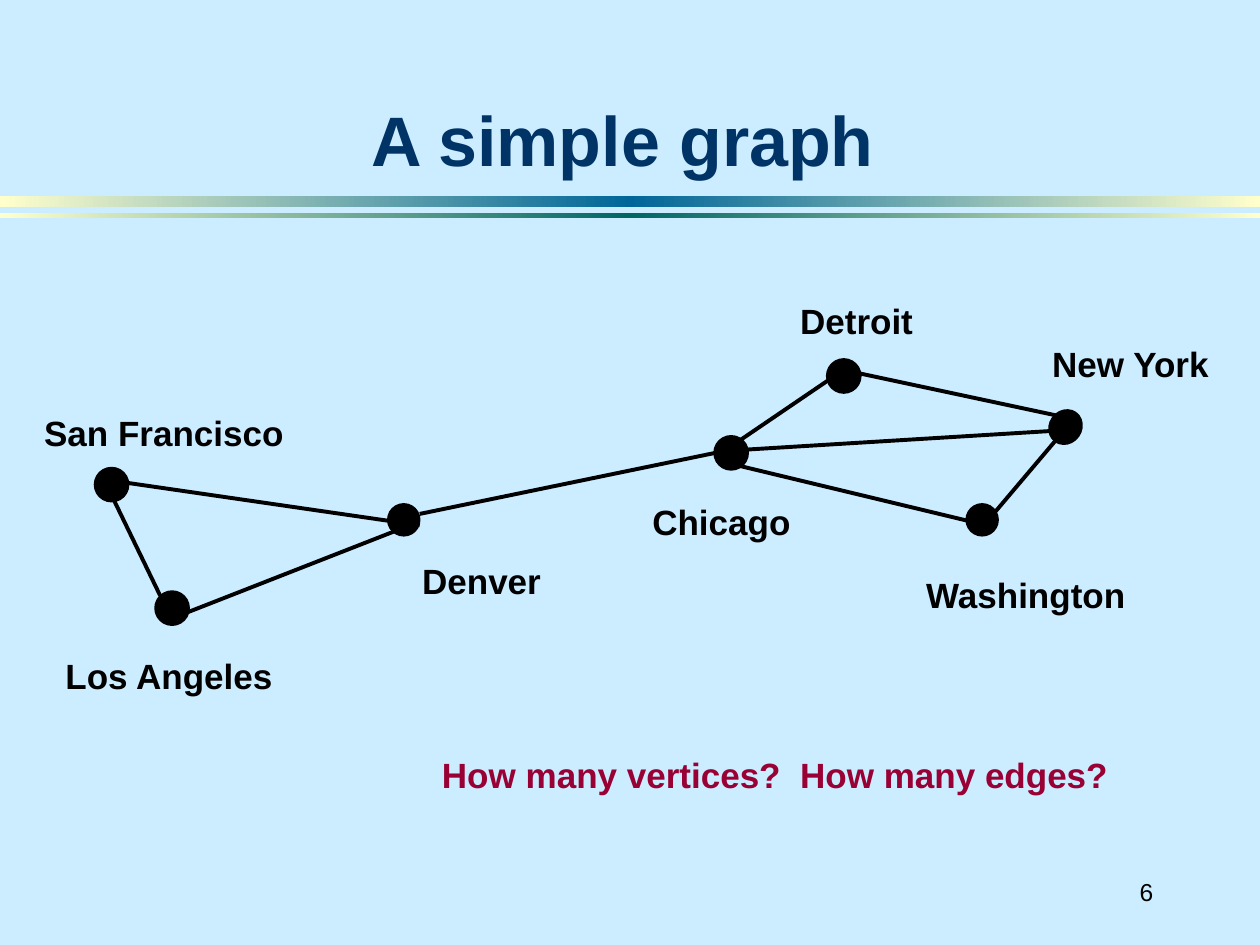
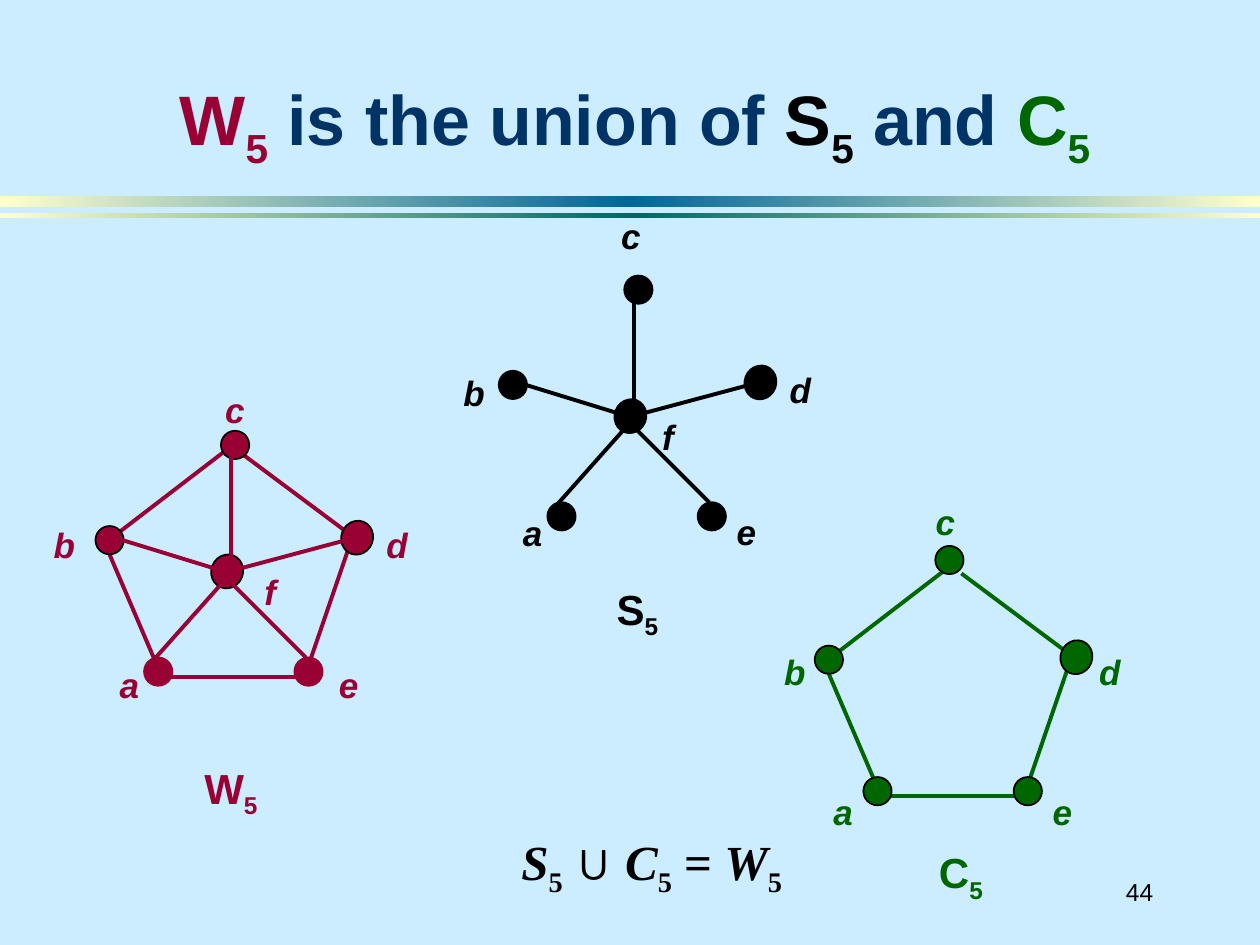
from copy import deepcopy
from dataclasses import dataclass

from lxml import etree
from pptx import Presentation
from pptx.dml.color import RGBColor
from pptx.enum.shapes import MSO_CONNECTOR, MSO_SHAPE
from pptx.enum.text import MSO_ANCHOR, MSO_AUTO_SIZE, PP_ALIGN
from pptx.oxml.ns import qn
from pptx.util import Cm, Pt

ELLIPSE = MSO_SHAPE.OVAL
RECTANGLE = MSO_SHAPE.RECTANGLE
STRAIGHT = MSO_CONNECTOR.STRAIGHT
LEFT, CENTER, RIGHT = PP_ALIGN.LEFT, PP_ALIGN.CENTER, PP_ALIGN.RIGHT
TOP, MIDDLE, BOTTOM = MSO_ANCHOR.TOP, MSO_ANCHOR.MIDDLE, MSO_ANCHOR.BOTTOM
NO_FIT, GROW = MSO_AUTO_SIZE.NONE, MSO_AUTO_SIZE.SHAPE_TO_FIT_TEXT


@dataclass(frozen=True)
class Theme:
    """Colours, fonts, type sizes and line widths of the deck."""
    background: str = "CCECFF"
    title: str = "003366"
    black: str = "000000"
    crimson: str = "990033"
    green: str = "006600"
    band_end: str = "FFFFCC"
    band_blue: str = "006699"
    band_teal: str = "006666"
    sans: str = "Arial"
    serif: str = "Times New Roman"
    title_size: int = 40
    formula_size: int = 28
    name_size: int = 24
    label_size: int = 20
    number_size: int = 14
    edge_width: float = 2.25
    outline_width: float = 1


THEME = Theme()
SUBSCRIPT = {"subscript": True}

CITY_MAP = (0.6, 5.9)
HEAVY_CITIES = ("San Francisco", "Los Angeles", "Detroit", "Chicago")
CITIES = {
    "San Francisco": ((1.65, 3.87), (0.04, 2.28, 5.4)),
    "Los Angeles": ((2.87, 6.36), (0.47, 7.16, 4.7)),
    "Denver": ((7.54, 4.58), (7.66, 5.25, 2.9)),
    "Chicago": ((14.14, 3.23), (12.3, 4.06, 3.3)),
    "Detroit": ((16.41, 1.68), (15.28, 0.02, 2.85)),
    "New York": ((20.88, 2.71), (20.36, 0.88, 3.73)),
    "Washington": ((19.2, 4.58), (17.82, 5.53, 4.55)),
}
ROUTES = (
    ((1.71, 4.21), (2.63, 6.11)),
    ((16.09, 1.77), (14.34, 2.96)),
    ((1.94, 3.83), (7.86, 4.69)),
    ((7.66, 4.69), (2.78, 6.6)),
    ((16.32, 1.54), (20.86, 2.51)),
    ((14.01, 3.19), (20.56, 2.79)),
    ((14.01, 3.42), (19.29, 4.69)),
    ((14.01, 3.19), (7.86, 4.46)),
    ((20.84, 2.79), (19.19, 4.74)),
)

VERTICES = {
    "a": (1.26, 4.85), "b": (0.28, 2.2), "c": (2.81, 0.28),
    "d": (5.27, 2.15), "e": (4.29, 4.85), "f": (2.65, 2.83),
}
RIM = (
    ((0.28, 2.49), (1.17, 4.57)),
    ((4.19, 4.95), (1.52, 4.95)),
    ((4.29, 4.72), (5.16, 2.18)),
    ((2.95, 0.46), (5.16, 2.11)),
    ((0.38, 2.11), (2.87, 0.2)),
)
SPOKES = (
    ((0.25, 2.11), (2.72, 2.87)),
    ((2.54, 2.87), (4.24, 4.57)),
    ((1.02, 4.78), (2.72, 2.87)),
    ((2.72, 0.41), (2.72, 2.87)),
    ((2.54, 2.87), (5.38, 2.11)),
)


def rgb(color):
    """Turn a hex string into a colour."""
    return RGBColor.from_string(color)


def add_text(slide, box, runs, size=THEME.label_size, color=THEME.black,
             font=THEME.sans, bold=True, italic=False, align=LEFT,
             anchor=TOP, wrap=False, fit=GROW, indent=0.25):
    """Add a text box; each run is a string or a (string, overrides) pair."""
    shape = slide.shapes.add_textbox(*(Cm(length) for length in box))
    frame = shape.text_frame
    frame.word_wrap = wrap
    frame.auto_size = fit
    frame.vertical_anchor = anchor
    frame.margin_left = Cm(indent)
    frame.margin_right = Cm(0.25 if wrap else 0)
    paragraph = frame.paragraphs[0]
    paragraph.alignment = align
    for item in [runs] if isinstance(runs, str) else runs:
        text, changes = (item, {}) if isinstance(item, str) else item
        run = paragraph.add_run()
        run.text = text
        run.font.size = Pt(size)
        run.font.name = changes.get("font", font)
        run.font.bold = bold
        run.font.italic = changes.get("italic", italic)
        run.font.color.rgb = rgb(changes.get("color", color))
        if changes.get("subscript"):
            run._r.get_or_add_rPr().set("baseline", "-25000")


def add_edge(slide, origin, start, end, color=THEME.black):
    """Draw a straight edge between two points relative to the origin."""
    left, top = origin
    connector = slide.shapes.add_connector(
        STRAIGHT, Cm(left + start[0]), Cm(top + start[1]),
        Cm(left + end[0]), Cm(top + end[1]))
    connector.line.color.rgb = rgb(color)
    connector.line.width = Pt(THEME.edge_width)
    etree.SubElement(connector._element.spPr, qn("a:effectLst"))


def add_vertex(slide, origin, center, size, color=THEME.black,
               outline=THEME.black, width=THEME.outline_width, rotation=0):
    """Draw a filled dot around a centre relative to the origin."""
    shape = slide.shapes.add_shape(
        ELLIPSE, Cm(origin[0] + center[0] - size[0] / 2),
        Cm(origin[1] + center[1] - size[1] / 2), Cm(size[0]), Cm(size[1]))
    shape.shadow.inherit = False
    shape.rotation = rotation
    shape.fill.solid()
    shape.fill.fore_color.rgb = rgb(color)
    shape.line.color.rgb = rgb(outline)
    shape.line.width = Pt(width)


def add_band(slide, top, height, middle):
    """Draw a full-width band that fades from its middle to both ends."""
    shape = slide.shapes.add_shape(RECTANGLE, 0, Cm(top), Cm(25.4), Cm(height))
    shape.shadow.inherit = False
    shape.line.fill.background()
    shape.fill.gradient()
    shape.fill.gradient_angle = 0
    stop_list = shape._element.spPr.find(".//" + qn("a:gsLst"))
    stop_list.append(deepcopy(stop_list[0]))
    colors = (THEME.band_end, middle, THEME.band_end)
    for index, stop in enumerate(shape.fill.gradient_stops):
        stop.position = index / 2
        stop.color.rgb = rgb(colors[index])


def add_base(presentation, title, title_box, number):
    """Add a slide with bands, page number and title."""
    slide = presentation.slides.add_slide(presentation.slide_layouts[6])
    add_band(slide, 3.96, 0.21, THEME.band_blue)
    add_band(slide, 4.29, 0.1, THEME.band_teal)
    add_text(slide, (21.8, 17.35, 1.7, 1.27), number, size=THEME.number_size,
             bold=False, align=RIGHT, anchor=MIDDLE, wrap=True, fit=NO_FIT)
    add_text(slide, title_box, title, size=THEME.title_size, color=THEME.title,
             align=CENTER, anchor=BOTTOM, wrap=True, fit=NO_FIT)
    return slide


def add_city_graph(slide, origin):
    """Draw the cities and the routes between them."""
    for start, end in ROUTES:
        add_edge(slide, origin, start, end)
    for city, (center, (left, top, width)) in CITIES.items():
        tilted = city == "New York"
        add_vertex(slide, origin, center, (0.64, 0.71 if tilted else 0.64),
                   rotation=35.2 if tilted else 0,
                   width=THEME.edge_width if city in HEAVY_CITIES
                   else THEME.outline_width)
        add_text(slide, (origin[0] + left, origin[1] + top, width, 1.11), city)


def add_wheel(slide, origin, name, name_place, labels, color,
              rim=(), spokes=(), plain=(), vertices=VERTICES):
    """Draw a labelled graph made of a rim, spokes or both."""
    left, top = origin
    for start, end in rim:
        add_edge(slide, origin, start, end, color)
    for vertex, (label_left, label_top) in labels.items():
        large = vertex in "df"
        add_vertex(slide, origin, vertices[vertex],
                   (0.64, 0.69) if large else (0.57, 0.57), color,
                   outline=color if vertex in plain else THEME.black,
                   rotation=20.8 if large else 0)
        add_text(slide, (left + label_left, top + label_top, 1.1, 1.11),
                 vertex, color=color, italic=True, indent=0.45)
    for start, end in spokes:
        add_edge(slide, origin, start, end, color)
    add_text(slide, (left + name_place[0], top + name_place[1], 1.9, 1.42),
             [name, ("5", SUBSCRIPT)], size=THEME.name_size, color=color,
             indent=0.49)


def add_city_slide(presentation):
    """Build the slide with the graph of cities."""
    slide = add_base(presentation, "A simple graph",
                     (1.65, 0.58, 21.8, 3.18), "6")
    add_city_graph(slide, CITY_MAP)
    add_text(slide, (8.66, 15.06, 13.94, 1.11),
             "How many vertices?  How many edges?", color=THEME.crimson)


def add_union_slide(presentation):
    """Build the slide that joins the star and the cycle into the wheel."""
    crimson, black, green = ({"color": color} for color in
                             (THEME.crimson, THEME.black, THEME.green))
    title = [("W", crimson), ("5", crimson | SUBSCRIPT), " is the union of ",
             ("S", black), ("5", black | SUBSCRIPT), " and ",
             ("C", green), ("5", green | SUBSCRIPT)]
    slide = add_base(presentation, title, (1.9, 0.84, 21.8, 2.74), "44")
    add_wheel(slide, (16.43, 11.1), "C", (2.01, 5.84),
              {"a": (-0.08, 4.72), "b": (-1.07, 1.88), "c": (1.98, -1.14),
               "d": (5.28, 1.88), "e": (4.34, 4.72)},
              THEME.green, rim=RIM, vertices=VERTICES | {"c": (2.71, 0.19)})
    add_wheel(slide, (1.93, 8.69), "W", (1.7, 6.55),
              {"a": (0.03, 4.57), "b": (-1.3, 1.73), "c": (2.16, -0.99),
               "d": (5.41, 1.73), "e": (4.45, 4.57), "f": (2.95, 2.69)},
              THEME.crimson, rim=RIM, spokes=SPOKES, plain=("a", "e"))
    add_wheel(slide, (10.06, 5.56), "S", (1.88, 6.07),
              {"a": (0.03, 4.62), "b": (-1.17, 1.8), "c": (2.01, -1.37),
               "d": (5.41, 1.75), "e": (4.34, 4.6), "f": (2.84, 2.69)},
              THEME.black, spokes=SPOKES)
    upright = {"italic": False}
    lowered = upright | SUBSCRIPT
    add_text(slide, (10.26, 16.64, 5.9, 1.6),
             ["S", ("5", lowered), (" ∪ ", upright | {"font": THEME.sans}),
              "C", ("5", lowered), (" = ", upright), "W", ("5", lowered)],
             size=THEME.formula_size, font=THEME.serif, italic=True)


def main():
    """Build and save the deck."""
    presentation = Presentation()
    presentation.slide_width = Cm(25.4)
    presentation.slide_height = Cm(19.05)
    background = presentation.slide_master.background.fill
    background.solid()
    background.fore_color.rgb = rgb(THEME.background)
    add_city_slide(presentation)
    add_union_slide(presentation)
    presentation.save("out.pptx")


if __name__ == "__main__":
    main()
